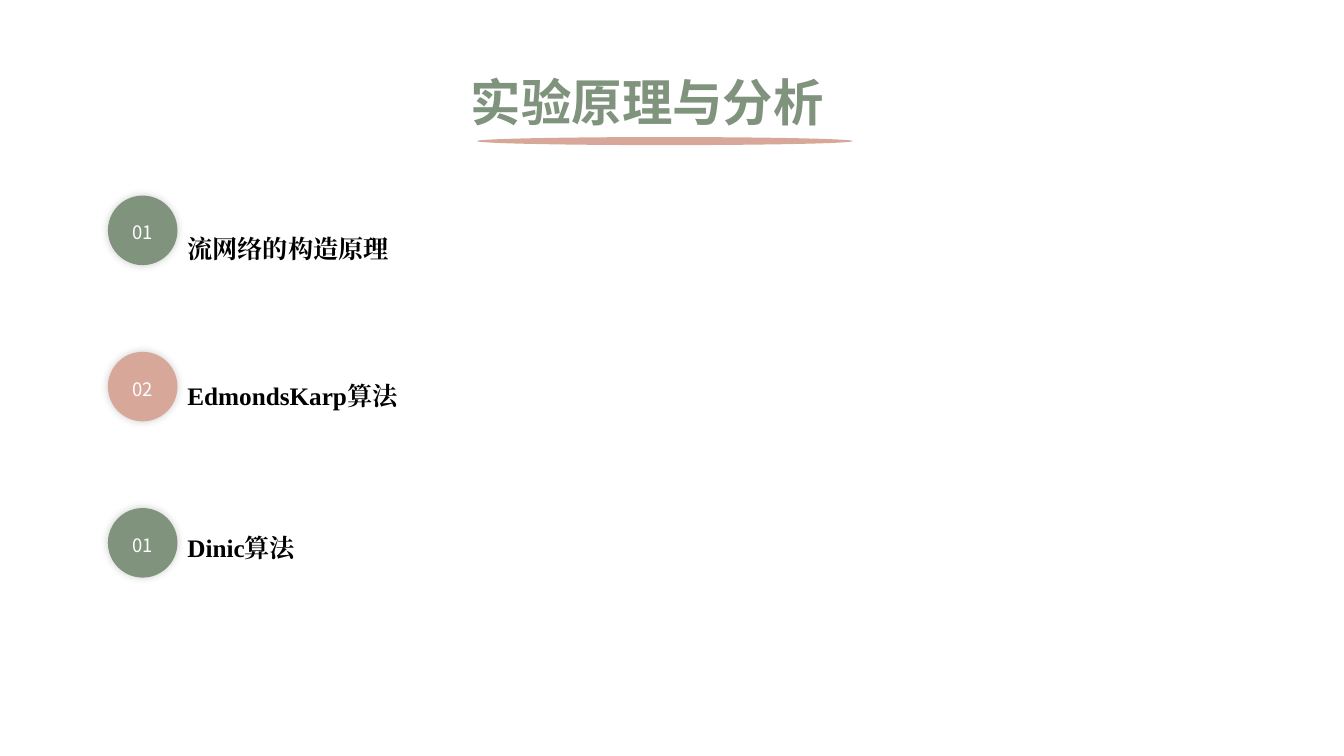
from lxml.etree import SubElement
from pptx import Presentation
from pptx.dml.color import RGBColor
from pptx.enum.shapes import MSO_SHAPE
from pptx.enum.text import MSO_ANCHOR, PP_ALIGN
from pptx.oxml.ns import qn
from pptx.util import Inches, Pt

SANS, SERIF = "Noto Sans CJK SC", "Times New Roman"
GREEN, ROSE, WHITE, BLACK = "80937D", "D7A89A", "FFFFFF", "000000"


def tint(code):
    """Turn a hex string into a colour."""
    return RGBColor.from_string(code)


class Deck:
    """Holds the style and the current slide."""

    def __init__(self):
        """Open a wide deck with one title-only slide."""
        self.prs = Presentation()
        self.prs.slide_width, self.prs.slide_height = Inches(13.33), Inches(7.5)
        self.slide = self.prs.slides.add_slide(self.prs.slide_layouts[5])

    def style(self, frame, text, size, face, color, align, bold=False, space=1.0):
        """Put one styled paragraph into a text frame."""
        frame.word_wrap = True
        frame.text = text
        para = frame.paragraphs[0]
        para.alignment, para.line_spacing = align, space
        font = para.font
        font.size, font.bold, font.name = Pt(size), bold, face
        font.color.rgb = tint(color)
        props = para._p.pPr.find(qn("a:defRPr"))
        SubElement(props, qn("a:ea"), typeface=face)

    def title(self, text, left, top, width, height):
        """Place and format the slide title."""
        head = self.slide.shapes.title
        head.left, head.top = Inches(left), Inches(top)
        head.width, head.height = Inches(width), Inches(height)
        head.text_frame.vertical_anchor = MSO_ANCHOR.TOP
        self.style(head.text_frame, text, 36, SANS, GREEN, PP_ALIGN.JUSTIFY, True)

    def oval(self, left, top, width, height, color):
        """Draw a flat ellipse without a line."""
        shape = self.slide.shapes.add_shape(
            MSO_SHAPE.OVAL, Inches(left), Inches(top), Inches(width), Inches(height))
        shape.shadow.inherit = False
        shape.fill.solid()
        shape.fill.fore_color.rgb = tint(color)
        shape.line.fill.background()
        return shape

    def badge(self, text, left, top, size, color):
        """Draw a numbered circle with a soft shadow."""
        shape = self.oval(left, top, size, size, color)
        effect = shape._element.spPr.find(qn("a:effectLst"))
        glow = SubElement(effect, qn("a:outerShdw"), blurRad=str(Pt(6)),
                          dist="0", dir=str(315 * 60000), rotWithShape="0")
        shade = SubElement(glow, qn("a:srgbClr"), val=BLACK)
        SubElement(shade, qn("a:alpha"), val="20000")
        frame = shape.text_frame
        frame.margin_left = frame.margin_right = 0
        frame.margin_top = frame.margin_bottom = 0
        frame.vertical_anchor = MSO_ANCHOR.MIDDLE
        self.style(frame, text, 13.2, SANS, WHITE, PP_ALIGN.CENTER, space=1.2)

    def label(self, text, left, top, width, height, space):
        """Add a bold heading beside a badge."""
        box = self.slide.shapes.add_textbox(
            Inches(left), Inches(top), Inches(width), Inches(height))
        self.style(box.text_frame, text, 18, SERIF, BLACK, PP_ALIGN.LEFT, True, space)


def main():
    """Build the slide and save it."""
    deck = Deck()
    deck.oval(4.73, 1.36, 3.73, 0.08, ROSE)
    deck.title("实验原理与分析", 4.57, 0.66, 4.05, 1.31)
    rows = [
        ("01", GREEN, "流网络的构造原理", 2.12, 3.09, 0.5, 1.5),
        ("02", ROSE, "EdmondsKarp算法", 3.57, 2.65, 0.5, 1.5),
        ("01", GREEN, "Dinic算法", 5.23, 3.09, 0.4, 1.0),
    ]
    for i, (mark, color, text, top, width, height, space) in enumerate(rows):
        deck.badge(mark, 1.07, 1.94 + 1.55 * i, 0.69, color)
        deck.label(text, 1.76, top, width, height, space)
    deck.prs.save("out.pptx")


if __name__ == "__main__":
    main()
